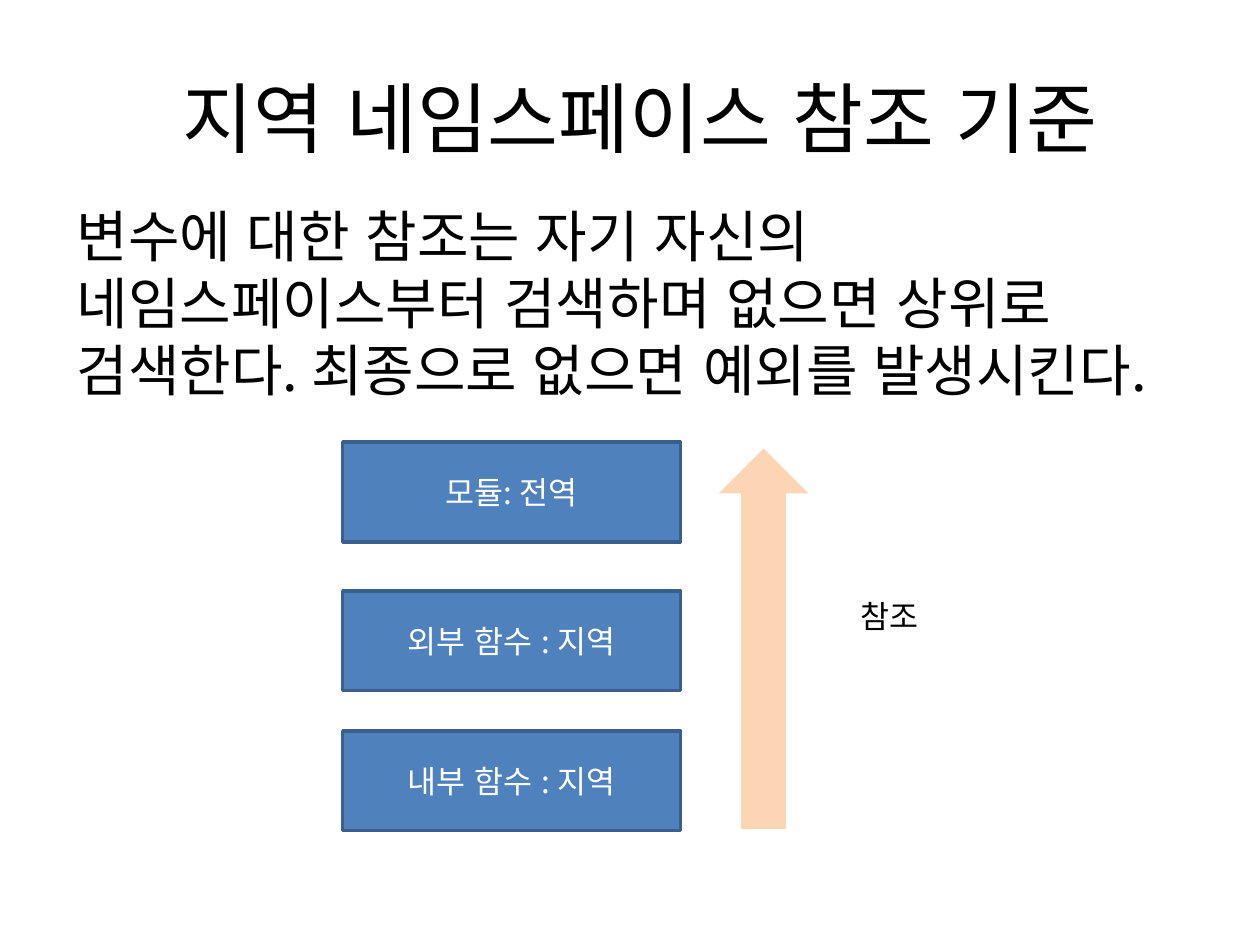
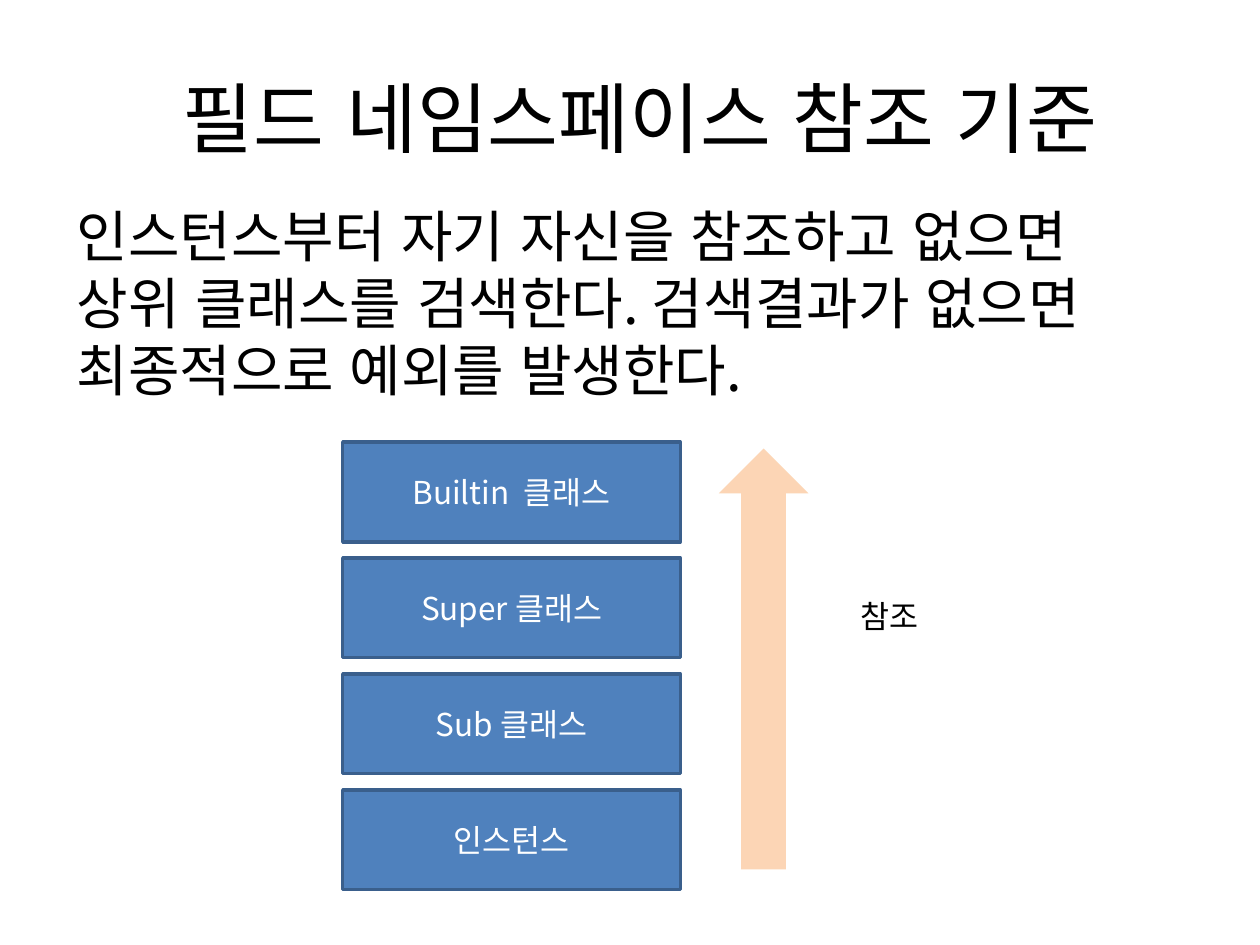
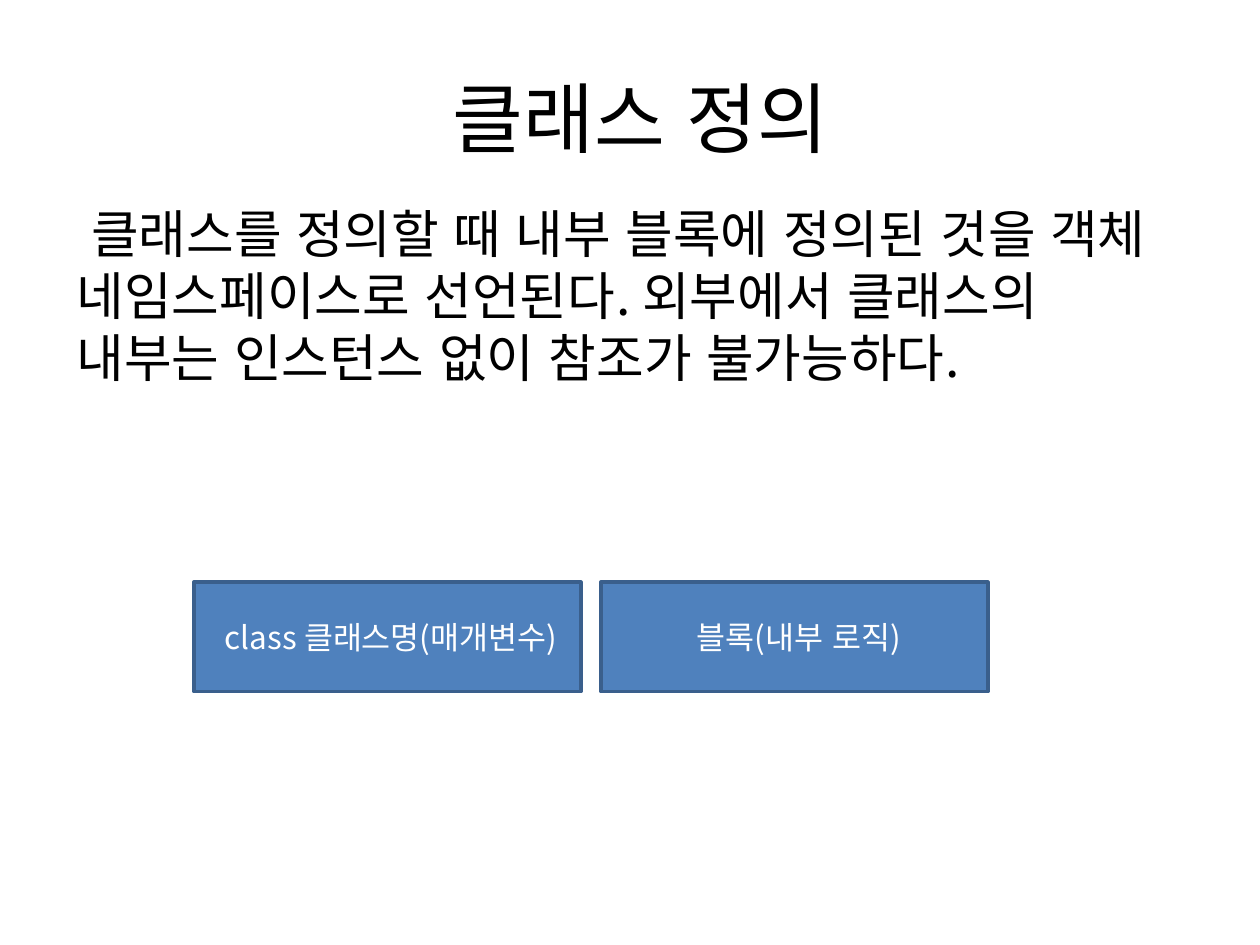
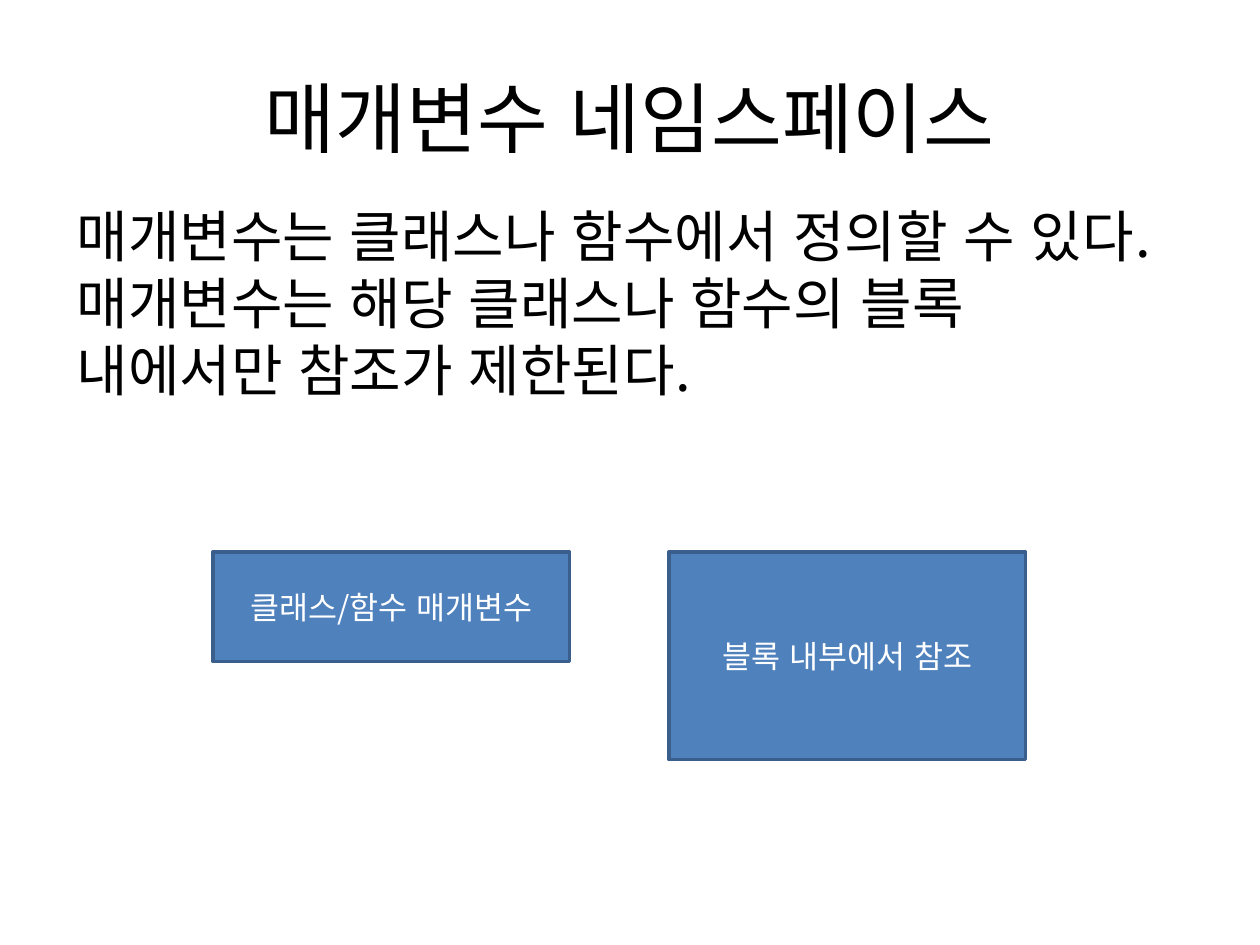
"""Build four slides on Python namespace lookup rules."""
import pptx
import pptx.dml.color
import pptx.enum.lang
import pptx.enum.shapes
import pptx.enum.text
import pptx.oxml
import pptx.oxml.ns
import pptx.util
from lxml import etree

Inches = pptx.util.Inches
Points = pptx.util.Pt
Shape = pptx.enum.shapes.MSO_SHAPE
Align = pptx.enum.text.PP_ALIGN
Anchor = pptx.enum.text.MSO_ANCHOR


def color(value):
    return pptx.dml.color.RGBColor.from_string(value)


def write(frame, text, font, size=18, ink="000000", align=Align.LEFT, anchor=Anchor.TOP):
    frame.word_wrap = True
    frame.auto_size = pptx.enum.text.MSO_AUTO_SIZE.NONE
    frame.vertical_anchor = anchor
    para = frame.paragraphs[0]
    para.alignment = align
    para.line_spacing = Points(size * 1.2)
    span = para.add_run()
    span.text = text
    span.font.size = Points(size)
    span.font.color.rgb = color(ink)
    span.font.name = font
    span.font.language_id = pptx.enum.lang.MSO_LANGUAGE_ID.KOREAN
    east_asian = etree.SubElement(span.font._element, pptx.oxml.ns.qn("a:ea"))
    east_asian.set("typeface", font)


class Deck:
    font = "Noto Sans CJK KR"
    box_fill = "4F81BD"
    box_line = "3A5F8C"
    arrow_fill = "FCD5B5"

    def __init__(self):
        self.deck = pptx.Presentation()
        self.deck.slide_width = Inches(10)
        self.deck.slide_height = Inches(7.5)
        self.page = None

    def add_page(self, title, body, body_size=32):
        self.page = self.deck.slides.add_slide(self.deck.slide_layouts[5])
        heading = self.page.shapes.title
        heading.left, heading.top = Inches(0.5), Inches(0.3)
        heading.width, heading.height = Inches(9), Inches(1.25)
        write(heading.text_frame, title, self.font, size=44,
              align=Align.CENTER, anchor=Anchor.MIDDLE)
        self.add_text(body, 0.51, 1.55, 8.83, 1.73, size=body_size)

    def add_text(self, text, left, top, width, height, size=18):
        box = self.page.shapes.add_textbox(
            Inches(left), Inches(top), Inches(width), Inches(height))
        write(box.text_frame, text, self.font, size=size)

    def add_shape(self, kind, left, top, width, height, fill):
        shape = self.page.shapes.add_shape(
            kind, Inches(left), Inches(top), Inches(width), Inches(height))
        shape.shadow.inherit = False
        shape.fill.solid()
        shape.fill.fore_color.rgb = color(fill)
        return shape

    def add_box(self, text, left, top, width, height):
        box = self.add_shape(Shape.RECTANGLE, left, top, width, height, self.box_fill)
        box.line.color.rgb = color(self.box_line)
        box.line.width = Points(2)
        write(box.text_frame, text, self.font, ink="FFFFFF",
              align=Align.CENTER, anchor=Anchor.MIDDLE)

    def add_lookup_arrow(self, length):
        center, tip, thickness = 6.06, 3.56, 0.71
        arrow = self.add_shape(
            Shape.RIGHT_ARROW, center - length / 2, tip + (length - thickness) / 2,
            length, thickness, self.arrow_fill)
        arrow.rotation = 270
        arrow.line.fill.background()

    def add_lookup_chain(self, scopes, tops, arrow_length):
        for scope, top in zip(scopes, tops):
            self.add_box(scope, 2.72, top, 2.68, 0.79)
        self.add_lookup_arrow(arrow_length)
        self.add_text("참조", 6.73, 4.69, 1.65, 0.4)


def main():
    deck = Deck()

    deck.add_page(
        " 지역 네임스페이스 참조 기준",
        "변수에 대한 참조는 자기 자신의 네임스페이스부터 검색하며 없으면 상위로 "
        "검색한다. 최종으로 없으면 예외를 발생시킨다.")
    deck.add_lookup_chain(
        ["모듈: 전역", "외부 함수 : 지역", "내부 함수 : 지역"], [3.51, 4.69, 5.8], 3.02)

    deck.add_page(
        " 필드 네임스페이스 참조 기준",
        "인스턴스부터 자기 자신을 참조하고 없으면 상위 클래스를 검색한다. "
        "검색결과가 없으면 최종적으로 예외를 발생한다.")
    deck.add_lookup_chain(
        ["Builtin  클래스", "Super 클래스", "Sub 클래스", "인스턴스"],
        [3.51 + 0.92 * row for row in range(4)], 3.34)

    deck.add_page(
        " 클래스 정의",
        " 클래스를 정의할 때 내부 블록에 정의된 것을 객체 네임스페이스로 선언된다. "
        "외부에서 클래스의 내부는 인스턴스 없이 참조가 불가능하다.", body_size=29.6)
    for column, part in enumerate([" class 클래스명(매개변수)", " 블록(내부 로직)"]):
        deck.add_box(part, 1.54 + 3.23 * column, 4.62, 3.07, 0.87)

    deck.add_page(
        " 매개변수 네임스페이스 ",
        "매개변수는 클래스나 함수에서 정의할 수 있다. 매개변수는 해당 클래스나 "
        "함수의 블록 내에서만 참조가 제한된다.")
    deck.add_box("클래스/함수 매개변수", 1.69, 4.38, 2.83, 0.87)
    deck.add_box("블록 내부에서 참조", 5.31, 4.38, 2.83, 1.65)

    deck.deck.save("out.pptx")


if __name__ == "__main__":
    main()
